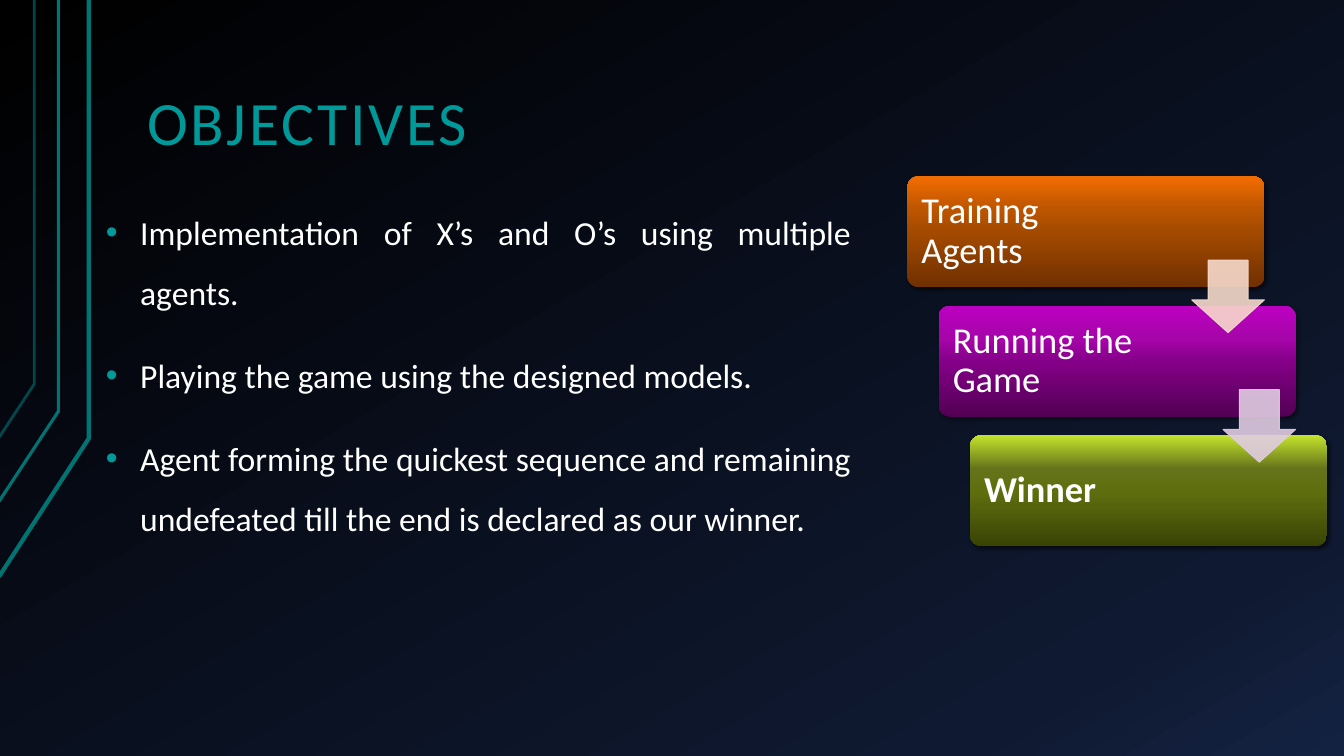
from dataclasses import dataclass

from lxml import etree
from pptx import Presentation
from pptx import util as u
from pptx.dml.color import RGBColor
from pptx.enum import shapes, text
from pptx.oxml.ns import qn

FONT = "Calibri"
COLORS = {
    "teal": "009999",
    "dark teal": "007373",
    "white": "FFFFFF",
    "black": "000000",
    "peach": "F7DACC",
    "lilac": "E0CCE1",
}
BACKGROUND_STOPS = [(0, "000000"), (85, "0F1931"), (100, "142242")]


@dataclass
class Step:
    label: str
    stops: list[tuple[int, str]]
    bold: bool = False
    arrow_color: str | None = None


@dataclass
class Trace:
    points: list[tuple[float, float]]
    weight: float
    opacity: int = 100


STEPS = [
    Step("Training Agents", [(0, "703000"), (50, "A44A00"), (70, "BC5500"), (100, "F26D00")],
         arrow_color="peach"),
    Step("Running the Game", [(0, "520054"), (50, "850088"), (70, "A505A9"), (100, "BC00C0")],
         arrow_color="lilac"),
    Step("Winner", [(0, "394404"), (50, "5F6F0F"), (70, "65741A"), (100, "C4E32D")], bold=True),
]
TRACES = [
    Trace([(-0.01, 5.72), (0.88, 4.35), (0.88, 0)], 3),
    Trace([(-0.02, 4.99), (0.58, 4.08), (0.58, 0)], 2.25),
    Trace([(-0.01, 4.34), (0.34, 3.81), (0.34, 0)], 2, opacity=60),
]
OBJECTIVES = [
    "Implementation of X’s and O’s using multiple agents.",
    "Playing the game using the designed models.",
    "Agent forming the quickest sequence and remaining undefeated till the end is "
    "declared as our winner.",
]

# Staircase of steps: first corner, offset to the next, and sizes
STEP_LEFT, STEP_TOP = 9, 1.75
STEP_DX, STEP_DY = 0.31, 1.285
STEP_WIDTH, STEP_HEIGHT = 3.54, 1.1
ARROW_DX, ARROW_DY, ARROW_SIZE = 2.82, 0.83, 0.72


def rgb(name: str) -> RGBColor:
    return RGBColor.from_string(COLORS[name])


def set_gradient(fill, element, stops: list[tuple[int, str]], angle: float) -> None:
    """Fill with any number of stops; the angle is counter-clockwise."""
    fill.gradient()
    fill.gradient_angle = angle
    stop_list = next(element.iter(qn("a:gsLst")))
    for stop in list(stop_list):
        stop_list.remove(stop)
    for position, color in stops:
        stop = etree.SubElement(stop_list, qn("a:gs"), pos=str(position * 1000))
        etree.SubElement(stop, qn("a:srgbClr"), val=color)


def set_opacity(shape, percent: int) -> None:
    for color in shape.element.spPr.iter(qn("a:srgbClr")):
        etree.SubElement(color, qn("a:alpha"), val=str(percent * 1000))


def add_shadow(shape) -> None:
    effects = shape.element.spPr.find(qn("a:effectLst"))
    shadow = etree.SubElement(effects, qn("a:outerShdw"), blurRad=str(u.Pt(3)),
                              dist=str(u.Pt(2)), dir="2700000", rotWithShape="0")
    color = etree.SubElement(shadow, qn("a:srgbClr"), val=COLORS["black"])
    etree.SubElement(color, qn("a:alpha"), val="60000")


def add_bullet(paragraph, color: str, indent: float) -> None:
    properties = paragraph._p.get_or_add_pPr()
    properties.set("marL", str(u.Inches(indent)))
    properties.set("indent", str(u.Inches(-indent)))
    bullet_color = etree.SubElement(properties, qn("a:buClr"))
    etree.SubElement(bullet_color, qn("a:srgbClr"), val=COLORS[color])
    etree.SubElement(properties, qn("a:buFont"), typeface="Arial")
    etree.SubElement(properties, qn("a:buChar"), char="•")


def add_text(slide, lines: list[str], left: float, top: float, width: float, height: float, *,
             size: float, color: str = "white", bold: bool = False,
             anchor=text.MSO_ANCHOR.TOP, align=text.PP_ALIGN.LEFT,
             inset: tuple[float, float] = (0.13, 0.07), line_spacing: float = 0.9,
             space_before: float = 0, tracking: float = 0, bulleted: bool = False) -> None:
    box = slide.shapes.add_textbox(*map(u.Inches, (left, top, width, height)))
    frame = box.text_frame
    frame.word_wrap = True
    frame.vertical_anchor = anchor
    frame.margin_left = frame.margin_right = u.Inches(inset[0])
    frame.margin_top = frame.margin_bottom = u.Inches(inset[1])
    for index, line in enumerate(lines):
        paragraph = frame.add_paragraph() if index else frame.paragraphs[0]
        paragraph.alignment = align
        paragraph.line_spacing = line_spacing
        paragraph.space_before = u.Pt(space_before)
        if bulleted:
            add_bullet(paragraph, "teal", 0.34)
        run = paragraph.add_run()
        run.text = line
        run.font.name = FONT
        run.font.size = u.Pt(size)
        run.font.bold = bold
        run.font.color.rgb = rgb(color)
        if tracking:
            run.font._element.set("spc", str(int(tracking * 100)))


def add_shape(slide, kind, left: float, top: float, width: float, height: float,
              adjustments: list[float]):
    shape = slide.shapes.add_shape(kind, *map(u.Inches, (left, top, width, height)))
    for index, value in enumerate(adjustments):
        shape.adjustments[index] = value
    shape.shadow.inherit = False
    return shape


def add_trace(slide, trace: Trace) -> None:
    points = [(u.Inches(x), u.Inches(y)) for x, y in trace.points]
    builder = slide.shapes.build_freeform(*points[0])
    builder.add_line_segments(points[1:], close=False)
    shape = builder.convert_to_shape()
    shape.shadow.inherit = False
    shape.fill.background()
    shape.line.color.rgb = rgb("dark teal")
    shape.line.width = u.Pt(trace.weight)
    if trace.opacity < 100:
        set_opacity(shape, trace.opacity)


def add_step(slide, step: Step, left: float, top: float) -> None:
    box = add_shape(slide, shapes.MSO_SHAPE.ROUNDED_RECTANGLE, left, top,
                    STEP_WIDTH, STEP_HEIGHT, [0.1])
    set_gradient(box.fill, box.element, step.stops, 90)
    box.line.fill.background()
    add_shadow(box)
    add_text(slide, [step.label], left + 0.03, top + 0.03, 2.4, 1.04, size=26, bold=step.bold,
             anchor=text.MSO_ANCHOR.MIDDLE, inset=(0.11, 0.11))


def add_arrow(slide, color: str, left: float, top: float) -> None:
    arrow = add_shape(slide, shapes.MSO_SHAPE.DOWN_ARROW, left, top,
                      ARROW_SIZE, ARROW_SIZE, [0.55, 0.45])
    arrow.fill.solid()
    arrow.fill.fore_color.rgb = rgb(color)
    arrow.line.color.rgb = rgb(color)
    arrow.line.width = u.Pt(0.75)
    set_opacity(arrow, 90)


def main() -> None:
    presentation = Presentation()
    presentation.slide_width = u.Inches(13.33)
    presentation.slide_height = u.Inches(7.5)
    slide = presentation.slides.add_slide(presentation.slide_layouts[6])

    # Background and circuit traces
    set_gradient(slide.background.fill, slide.element, BACKGROUND_STOPS, 300)
    for trace in TRACES:
        add_trace(slide, trace)

    # Title and objectives
    add_text(slide, ["OBJECTIVES"], 1.33, 0.31, 11.33, 1.34, size=44, color="teal",
             anchor=text.MSO_ANCHOR.BOTTOM, tracking=2)
    add_text(slide, OBJECTIVES, 0.92, 1.83, 7.65, 4.5, size=24, align=text.PP_ALIGN.JUSTIFY,
             line_spacing=1.5, space_before=16, bulleted=True)

    # Steps, then the arrows on top of them
    corners = [(STEP_LEFT + i * STEP_DX, STEP_TOP + i * STEP_DY) for i in range(len(STEPS))]
    for step, (left, top) in zip(STEPS, corners):
        add_step(slide, step, left, top)
    for step, (left, top) in zip(STEPS, corners):
        if step.arrow_color:
            add_arrow(slide, step.arrow_color, left + ARROW_DX, top + ARROW_DY)

    presentation.save("out.pptx")


if __name__ == "__main__":
    main()
